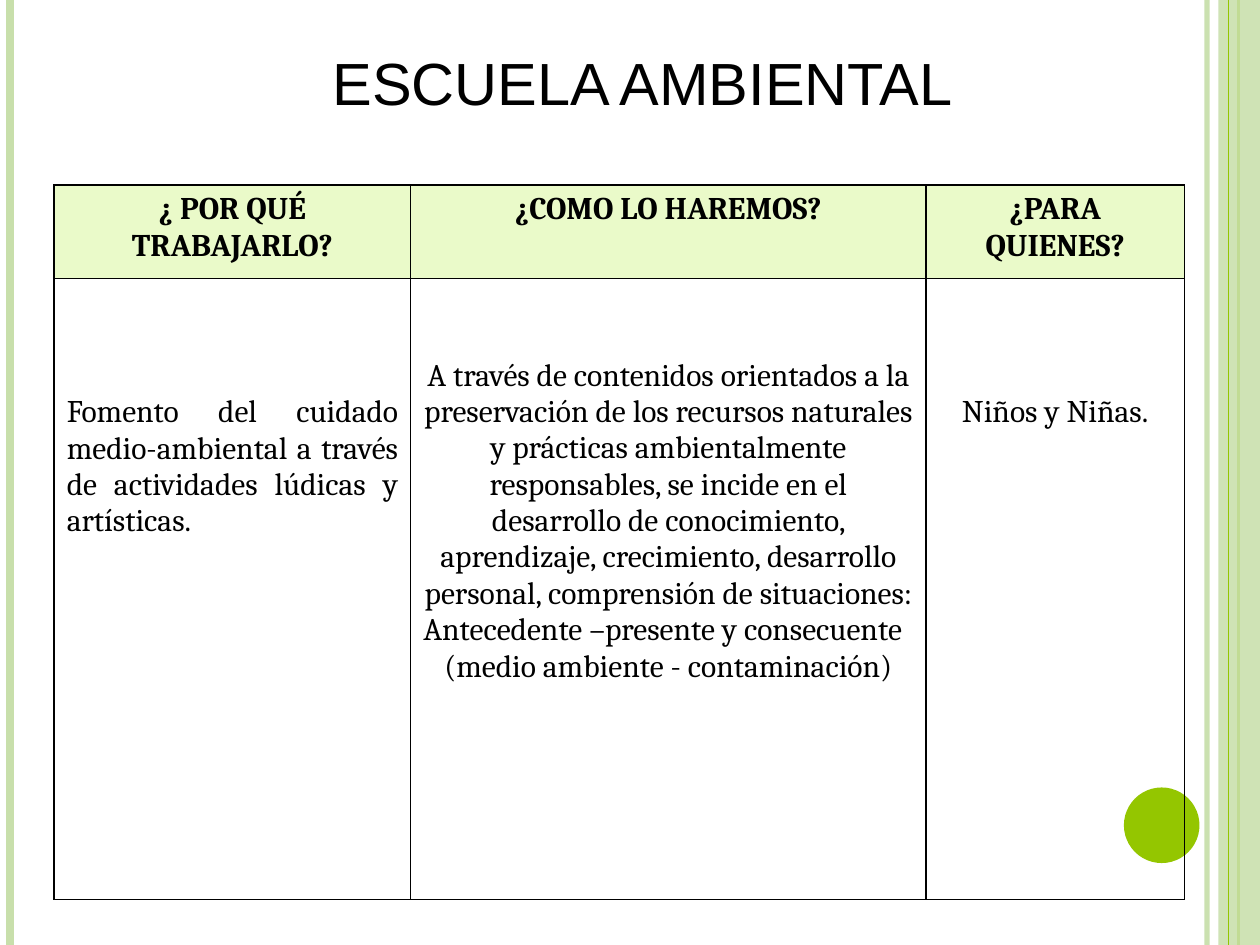
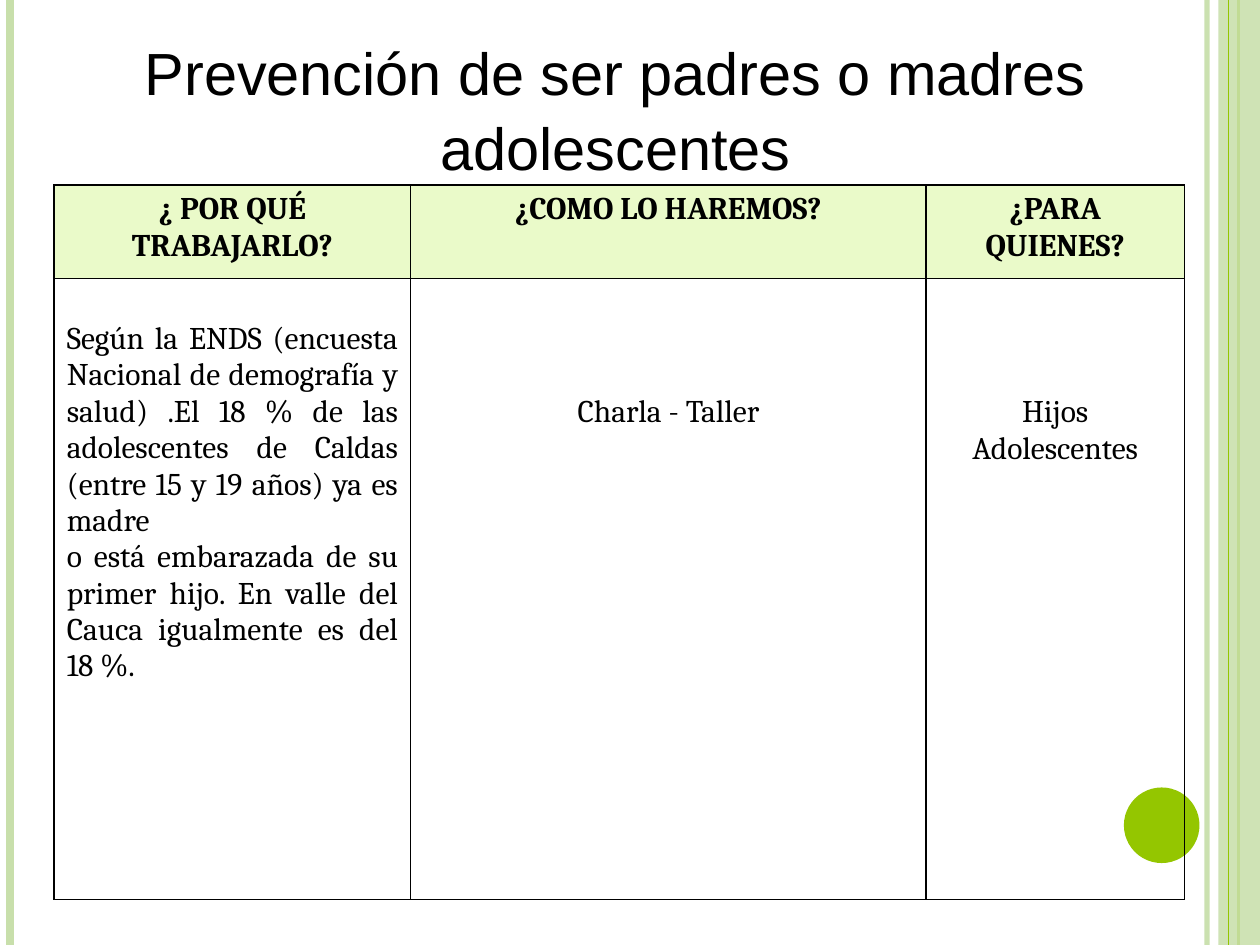
"""Builds two slides that present workshop themes in a three-column table."""
from lxml import etree
from pptx import Presentation
from pptx.dml.color import RGBColor
from pptx.enum.shapes import MSO_CONNECTOR as CONN, MSO_SHAPE as SHAPE
from pptx.enum.text import PP_ALIGN as AL
from pptx.oxml.ns import qn
from pptx.util import Inches, Pt

W, H = 10, 7.5
BLACK, WHITE, LIME, PALE, HEAD = "000000", "FFFFFF", "94C600", "C8DFAB", "EAFAC9"
TITLE_FONT, BODY_FONT = "Arial", "Cambria"
TITLE_SIZE, BODY_SIZE = 34, 18

HEADERS = ["¿ POR QUÉ TRABAJARLO?", "¿COMO LO HAREMOS?", "¿PARA QUIENES?"]
TABLE_AT = (0.43, 1.47)
COLS, ROWS = (2.83, 4.09, 2.05), (0.74, 4.93)
ALIGNS = (AL.JUSTIFY, AL.CENTER, AL.CENTER)
MARGIN, LINE_H = 0.05, 0.29
TAB_AT = 2.79

RULES = [(9.58, PALE, 3, 93), (0.08, PALE, 4.5, 100), (9.83, LIME, 1.5, 100)]
FRONT_RULE = (9.75, LIME, 0.75, 100)
BAND = (SHAPE.RECTANGLE, (9.67, 0, 0.33, H), PALE, 87)
DOT = (SHAPE.OVAL, (8.92, 6.25, 0.6, 0.6), LIME, 100)

SLIDES = [
    {
        "title": "ESCUELA AMBIENTAL",
        "title_at": (0.2, 0.29, 9.8, 1.25),
        "cells": [
            (3, ["Fomento del cuidado medio-ambiental a través de actividades "
                 "lúdicas y artísticas."]),
            (2, ["A través de contenidos orientados a la preservación de los "
                 "recursos naturales y prácticas ambientalmente responsables, "
                 "se incide en el desarrollo de conocimiento, aprendizaje, "
                 "crecimiento, desarrollo personal, comprensión de situaciones: "
                 "Antecedente –presente y consecuente\t(medio ambiente - "
                 "contaminación)"]),
            (3, ["Niños y Niñas."]),
        ],
    },
    {
        "title": "Prevención de ser padres o madres adolescentes",
        "title_at": (0.91, 0.21, 7.95, 1.25),
        "cells": [
            (1, ["Según la ENDS (encuesta Nacional de demografía y salud) .El "
                 "18 % de las adolescentes de Caldas (entre 15 y 19 años) ya es "
                 "madre",
                 "o está embarazada de su primer hijo. En valle del Cauca "
                 "igualmente es del 18 %."]),
            (3, ["Charla - Taller"]),
            (3, ["Hijos Adolescentes"]),
        ],
    },
]


def rgb(color):
    return RGBColor.from_string(color)


def paint(fill, color, alpha=100):
    fill.solid()
    fill.fore_color.rgb = rgb(color)
    if alpha < 100:
        clr = fill._xPr.find(".//" + qn("a:srgbClr"))
        etree.SubElement(clr, qn("a:alpha"), val=str(alpha * 1000))


def add_rule(s, x, color, width, alpha):
    c = s.shapes.add_connector(CONN.STRAIGHT, Inches(x), 0, Inches(x), Inches(H))
    c.line.width = Pt(width)
    paint(c.line.fill, color, alpha)
    etree.SubElement(c._element.spPr, qn("a:effectLst"))


def add_solid(s, kind, at, color, alpha):
    sp = s.shapes.add_shape(kind, *map(Inches, at))
    sp.shadow.inherit = False
    paint(sp.fill, color, alpha)
    sp.line.fill.background()


def write(tf, texts, font, size, align, bold=False):
    tf.word_wrap = True
    for i, text in enumerate(texts):
        p = tf.add_paragraph() if i else tf.paragraphs[0]
        p.text = text
        p.alignment = align
        if "\t" in text:
            tabs = etree.SubElement(p._p.get_or_add_pPr(), qn("a:tabLst"))
            etree.SubElement(tabs, qn("a:tab"), pos=str(Inches(TAB_AT)), algn="l")
        p.font.name, p.font.size, p.font.bold = font, Pt(size), bold
        p.font.color.rgb = rgb(BLACK)


def add_borders(cell):
    tc_pr = cell._tc.get_or_add_tcPr()
    for side in ("lnL", "lnR", "lnT", "lnB"):
        ln = etree.SubElement(tc_pr, qn("a:" + side), w=str(Pt(1)))
        solid = etree.SubElement(ln, qn("a:solidFill"))
        etree.SubElement(solid, qn("a:srgbClr"), val=BLACK)


def add_frame(s):
    s.background.fill.solid()
    s.background.fill.fore_color.rgb = rgb(WHITE)
    for rule in RULES:
        add_rule(s, *rule)
    add_solid(s, *BAND)
    add_rule(s, *FRONT_RULE)
    add_solid(s, *DOT)


def add_title(s, text, at):
    tf = s.shapes.add_textbox(*map(Inches, at)).text_frame
    write(tf, [text], TITLE_FONT, TITLE_SIZE, AL.CENTER)
    tf.paragraphs[0].line_spacing = 1.05


def add_theme_table(s, cells):
    size = (sum(COLS), sum(ROWS))
    table = s.shapes.add_table(len(ROWS), len(COLS),
                               *map(Inches, TABLE_AT + size)).table
    table.first_row = table.horz_banding = False
    for row, height in zip(table.rows, ROWS):
        row.height = Inches(height)
    for i, (width, header, align) in enumerate(zip(COLS, HEADERS, ALIGNS)):
        table.columns[i].width = Inches(width)
        head, body = table.cell(0, i), table.cell(1, i)
        add_borders(head)
        add_borders(body)
        paint(head.fill, HEAD)
        body.fill.background()
        lines_down, texts = cells[i]
        body.margin_top = Inches(MARGIN + lines_down * LINE_H)
        write(head.text_frame, [header], BODY_FONT, BODY_SIZE, AL.CENTER, True)
        write(body.text_frame, texts, BODY_FONT, BODY_SIZE, align)


def main():
    prs = Presentation()
    prs.slide_width, prs.slide_height = Inches(W), Inches(H)
    for content in SLIDES:
        s = prs.slides.add_slide(prs.slide_layouts[6])
        add_frame(s)
        add_title(s, content["title"], content["title_at"])
        add_theme_table(s, content["cells"])
    prs.save("out.pptx")


if __name__ == "__main__":
    main()
